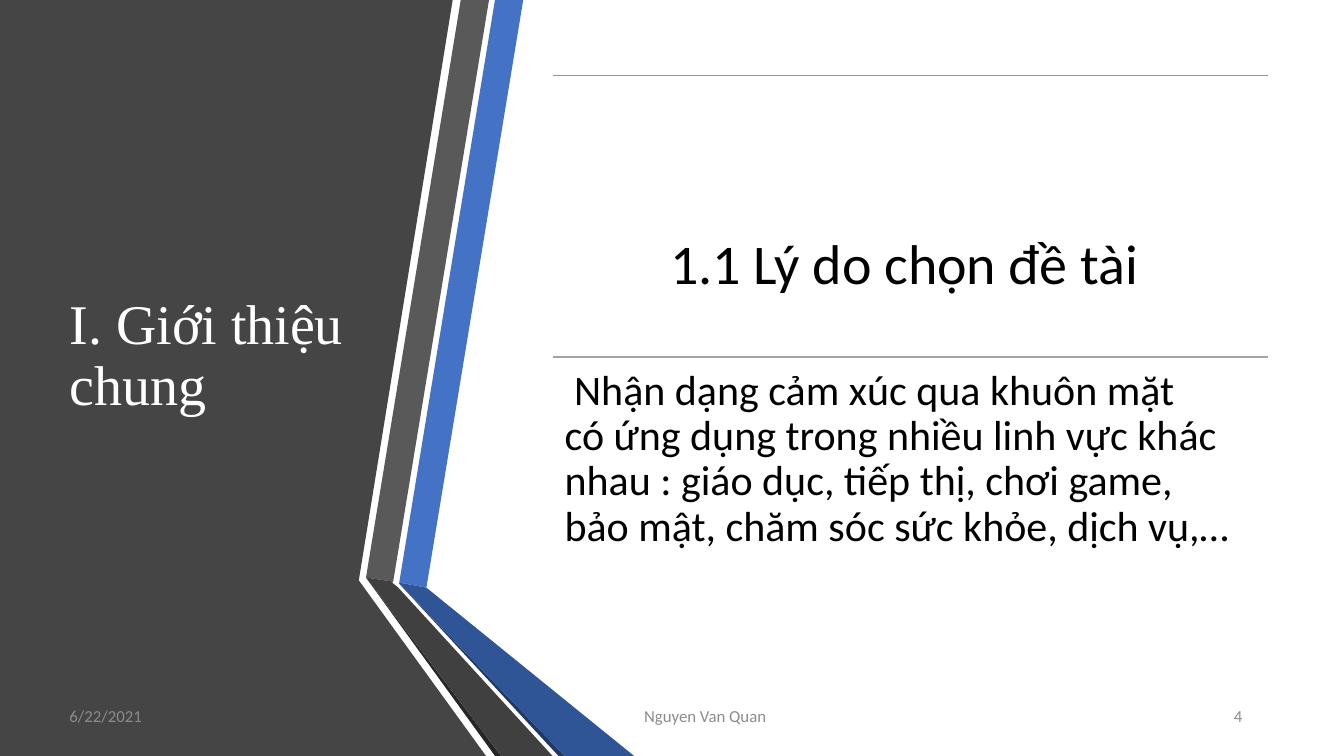
import pptx
import pptx.dml.color
import pptx.enum.shapes
import pptx.enum.text
import pptx.oxml.ns
import pptx.util
from lxml import etree

RGBColor = pptx.dml.color.RGBColor
PP_ALIGN = pptx.enum.text.PP_ALIGN
ANCHOR = pptx.enum.text.MSO_ANCHOR

PX = 9144  # EMU per px, 100 px to the inch

WHITE = RGBColor(0xFF, 0xFF, 0xFF)
BLACK = RGBColor(0x00, 0x00, 0x00)
FOOTER_GRAY = RGBColor(0x8C, 0x8C, 0x8C)
PANEL_GRAY = RGBColor(0x45, 0x45, 0x45)
BAND_GRAY = RGBColor(0x59, 0x59, 0x59)
FOLD_GRAY = RGBColor(0x40, 0x40, 0x40)
EDGE_GRAY = RGBColor(0x26, 0x26, 0x26)
BAND_BLUE = RGBColor(0x44, 0x72, 0xC4)
FOLD_BLUE = RGBColor(0x2F, 0x55, 0x97)
EDGE_BLUE = RGBColor(0x20, 0x38, 0x64)
RULE_ORANGE = RGBColor(0xED, 0x7D, 0x31)
RULE_GRAY = RGBColor(0xA5, 0xA5, 0xA5)

# Dark panel and the folded ribbons beside it, from back to front
RIBBONS = [
    (PANEL_GRAY, [(0, 0), (449, 0), (356, 575), (356, 576), (482, 750), (0, 750)]),
    (BAND_BLUE, [(396, 578), (423, 583), (519, 0), (491, 0)]),
    (BAND_GRAY, [(485, 0), (457, 0), (363, 573), (390, 577)]),
    (EDGE_GRAY, [(363, 573), (491, 750), (497, 750)]),
    (EDGE_BLUE, [(396, 579), (554, 750), (560, 750)]),
    (FOLD_BLUE, [(396, 579), (560, 750), (629, 750), (423, 583), (396, 578)]),
    (FOLD_GRAY, [(548, 750), (395, 583), (389, 578), (390, 577), (363, 573), (497, 750)]),
]

# Right column: two equal rows, each under a rule
COLUMN_LEFT, COLUMN_WIDTH = 548, 710
ROW_TOP, ROW_HEIGHT = 75, 279

HEADING = "1.1 Lý do chọn đề tài "
# An underscore marks a no-break space, which keeps a phrase on one line
REASON = (
    " Nhận_dạng_cảm_xúc_qua khuôn mặt có_ứng_dụng_trong nhiều linh vực khác "
    "nhau : giáo_dục,_tiếp_thị, chơi_game, bảo_mật, chăm sóc sức khỏe, dịch vụ,…"
).replace("_", chr(160))

FOOTERS = [
    ("6/22/2021", (59, 690, 333, 40), PP_ALIGN.LEFT),
    ("Nguyen Van Quan", (629, 690, 426, 40), PP_ALIGN.LEFT),
    ("4", (1123, 690, 119, 40), PP_ALIGN.RIGHT),
]


def add_ribbon(slide, color, points):
    builder = slide.shapes.build_freeform(*points[0], scale=PX)
    builder.add_line_segments(points[1:], close=True)
    shape = builder.convert_to_shape()
    shape.shadow.inherit = False
    shape.fill.solid()
    shape.fill.fore_color.rgb = color
    shape.line.fill.background()


def add_rule(slide, top, color):
    rule = slide.shapes.add_connector(
        pptx.enum.shapes.MSO_CONNECTOR.STRAIGHT,
        COLUMN_LEFT * PX, top * PX, (COLUMN_LEFT + COLUMN_WIDTH) * PX, top * PX,
    )
    rule.line.color.rgb = color
    rule.line.width = pptx.util.Pt(1)
    properties = rule.element.find(pptx.oxml.ns.qn("p:spPr"))
    etree.SubElement(properties, pptx.oxml.ns.qn("a:effectLst"))
    # The theme style would tint the line colour
    rule.element.remove(rule.element.find(pptx.oxml.ns.qn("p:style")))


def format_text(shape, text, box, size, color, font="Calibri", align=PP_ALIGN.LEFT,
                anchor=ANCHOR.TOP, spacing=0.9, insets=(10, 5, 10, 5)):
    for name, value in zip(("left", "top", "width", "height"), box):
        setattr(shape, name, value * PX)
    frame = shape.text_frame
    frame.text = text
    frame_format = {
        "word_wrap": True,
        "auto_size": pptx.enum.text.MSO_AUTO_SIZE.NONE,
        "vertical_anchor": anchor,
    }
    for side, inset in zip(("left", "top", "right", "bottom"), insets):
        frame_format["margin_" + side] = inset * PX
    paragraph = frame.paragraphs[0]
    paragraph_format = {
        "alignment": align, "line_spacing": spacing, "space_before": pptx.util.Pt(0),
    }
    font_format = {"name": font, "size": pptx.util.Pt(size)}
    for target, values in ((frame, frame_format), (paragraph, paragraph_format),
                           (paragraph.runs[0].font, font_format)):
        for name, value in values.items():
            setattr(target, name, value)
    paragraph.runs[0].font.color.rgb = color


def remove_bullet(paragraph):
    properties = paragraph._p.get_or_add_pPr()
    properties.set("marL", "0")
    properties.set("indent", "0")
    etree.SubElement(properties, pptx.oxml.ns.qn("a:buNone"))


def add_text(slide, text, box, size, color, **options):
    shape = slide.shapes.add_textbox(0, 0, PX, PX)
    format_text(shape, text, box, size, color, **options)


def main():
    presentation = pptx.Presentation()
    presentation.slide_width = 1333 * PX
    presentation.slide_height = 750 * PX
    slide = presentation.slides.add_slide(presentation.slide_layouts[1])
    title, body = slide.shapes.title, slide.placeholders[1]

    # Panel and ribbons
    for color, points in RIBBONS:
        add_ribbon(slide, color, points)

    # Title, brought in front of the panel
    format_text(title, "I. Giới thiệu chung", (59, 75, 316, 558), 40, WHITE,
                font="Times New Roman", anchor=ANCHOR.MIDDLE)
    title.element.getparent().append(title.element)

    # Heading and reason
    second_top = ROW_TOP + ROW_HEIGHT
    add_rule(slide, ROW_TOP, RULE_ORANGE)
    add_text(slide, HEADING, (COLUMN_LEFT, ROW_TOP, COLUMN_WIDTH, ROW_HEIGHT), 40, BLACK,
             align=PP_ALIGN.CENTER, insets=(26, 159, 26, 26))
    add_rule(slide, second_top, RULE_GRAY)
    format_text(body, REASON, (COLUMN_LEFT, second_top, COLUMN_WIDTH, ROW_HEIGHT), 30, BLACK,
                insets=(12, 12, 12, 12))
    remove_bullet(body.text_frame.paragraphs[0])

    # Footer
    for text, box, align in FOOTERS:
        add_text(slide, text, box, 12, FOOTER_GRAY, align=align,
                 anchor=ANCHOR.MIDDLE, spacing=1.0)

    presentation.save("out.pptx")


if __name__ == "__main__":
    main()
